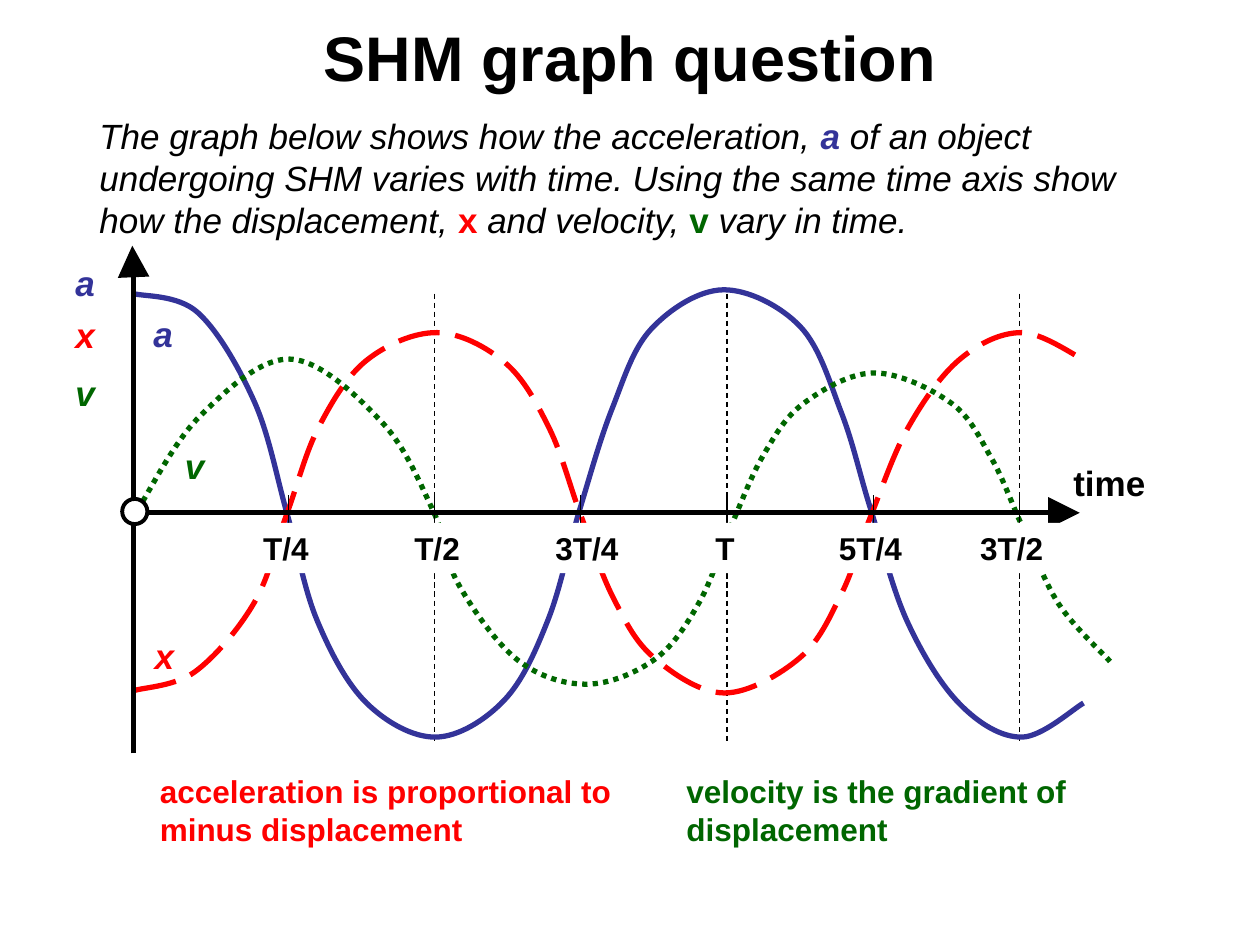
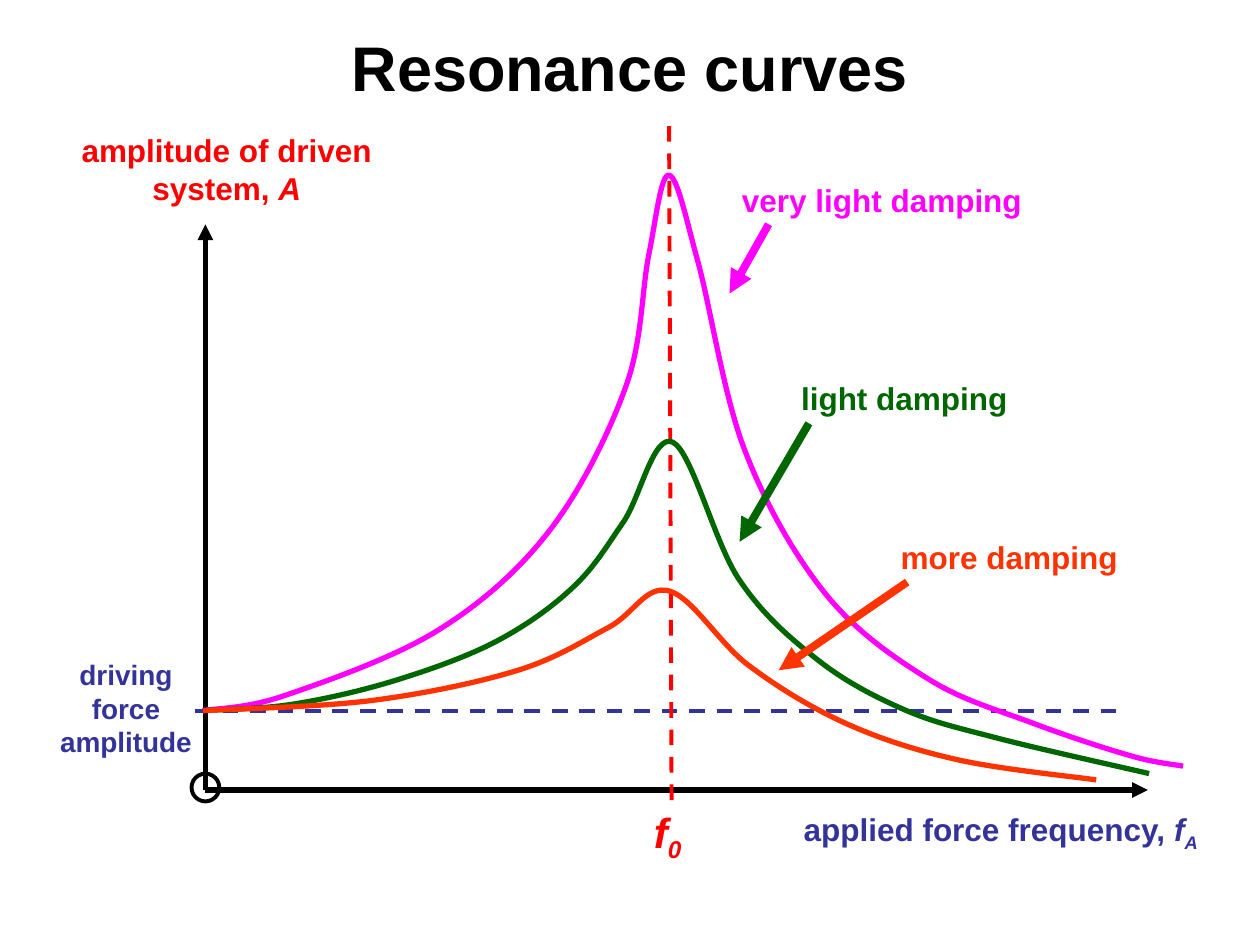
from pptx import Presentation
from pptx.dml.color import RGBColor
from pptx.enum.dml import MSO_LINE
from pptx.enum.shapes import MSO_CONNECTOR, MSO_SHAPE
from pptx.enum.text import MSO_ANCHOR, PP_ALIGN
from pptx.oxml.ns import qn
from pptx.util import Inches, Pt
from lxml import etree

BLACK = RGBColor(0x00, 0x00, 0x00)
WHITE = RGBColor(0xFF, 0xFF, 0xFF)
BLUE = RGBColor(0x33, 0x33, 0x99)
RED = RGBColor(0xFF, 0x00, 0x00)
GREEN = RGBColor(0x00, 0x66, 0x00)
PINK = RGBColor(0xFF, 0x00, 0xFF)
ORANGE = RGBColor(0xFF, 0x33, 0x00)

DASH = MSO_LINE.DASH
LONG = MSO_LINE.LONG_DASH
DOT = MSO_LINE.ROUND_DOT
STRAIGHT = MSO_CONNECTOR.STRAIGHT
OVAL = MSO_SHAPE.OVAL
LEFT = PP_ALIGN.LEFT
CENTER = PP_ALIGN.CENTER
MIDDLE = MSO_ANCHOR.MIDDLE

FONT = "Arial"
TICKS = [2.29 + 1.16 * i for i in range(6)]
AXIS = 4.07

ACCEL = [(1.06, 2.33), (1.57, 2.48), (2.02, 3.19), (2.28, 4.08), (2.52, 4.93),
         (2.91, 5.58), (3.46, 5.85), (4, 5.56), (4.35, 4.92), (4.6, 4.05),
         (4.86, 3.24), (5.17, 2.61), (5.74, 2.3), (6.35, 2.59), (6.68, 3.28),
         (6.91, 4.04), (7.2, 4.93), (7.62, 5.59), (8.11, 5.85), (8.6, 5.58)]
SHIFT = [(1.07, 5.48), (1.55, 5.33), (2.02, 4.78), (2.28, 4.07), (2.53, 3.39),
         (2.91, 2.86), (3.47, 2.64), (4.01, 2.88), (4.36, 3.4), (4.61, 4.09),
         (4.87, 4.75), (5.19, 5.22), (5.75, 5.5), (6.35, 5.22), (6.68, 4.71),
         (6.91, 4.1), (7.21, 3.39), (7.62, 2.85), (8.11, 2.64), (8.61, 2.86)]
SPEED = [(1.09, 4.05), (1.58, 3.31), (2.3, 2.85), (3.03, 3.35), (3.44, 4.06),
         (3.64, 4.64), (4.11, 5.24), (4.66, 5.43), (5.2, 5.23), (5.55, 4.78),
         (5.8, 4.18), (6.06, 3.61), (6.38, 3.2), (6.94, 2.96), (7.55, 3.2),
         (7.87, 3.64), (8.11, 4.17), (8.4, 4.79), (8.81, 5.25)]

FAINT = [(1.61, 5.64), (2.26, 5.52), (3.48, 5), (4.37, 4.2), (4.97, 3.06),
         (5.15, 2.02), (5.31, 1.39), (5.54, 2.08), (5.91, 3.57), (6.55, 4.71),
         (7.37, 5.39), (8.2, 5.74), (8.98, 6), (9.39, 6.08)]
LIGHT = [(1.61, 5.64), (2.32, 5.59), (3.14, 5.4), (3.94, 5.09), (4.55, 4.66),
         (4.95, 4.14), (5.34, 3.51), (5.86, 4.59), (6.48, 5.23), (7.17, 5.63),
         (7.92, 5.86), (9.12, 6.14)]
HEAVY = [(1.61, 5.64), (2.95, 5.56), (4.11, 5.32), (4.83, 4.98), (5.31, 4.69),
         (5.94, 5.28), (6.71, 5.74), (7.6, 6.03), (8.7, 6.19)]


def smooth(shape):
    """Turn the straight parts of a freeform into one Catmull-Rom curve."""
    track = shape._element.find(".//" + qn("a:path"))
    knots = [(int(p.get("x")), int(p.get("y"))) for p in track.iter(qn("a:pt"))]
    ends = [knots[0], *knots, knots[-1]]
    parts = track.findall(qn("a:lnTo"))
    for part, a, b, c, d in zip(parts, ends, ends[1:], ends[2:], ends[3:]):
        first = [q + (r - p) / 6 for p, q, r in zip(a, b, c)]
        second = [r - (s - q) / 6 for q, r, s in zip(b, c, d)]
        bend = etree.Element(qn("a:cubicBezTo"))
        for x, y in (first, second, c):
            etree.SubElement(bend, qn("a:pt"), x=str(round(x)), y=str(round(y)))
        track.replace(part, bend)


def stroke(shape, color, width, dash=None):
    """Set the outline of a shape or connector."""
    shape.line.color.rgb = color
    shape.line.width = Pt(width)
    if dash:
        shape.line.dash_style = dash


def curve(slide, knots, color, dash=None):
    """Draw a smooth open curve."""
    points = [(Inches(x), Inches(y)) for x, y in knots]
    pen = slide.shapes.build_freeform(*points[0])
    pen.add_line_segments(points[1:], close=False)
    shape = pen.convert_to_shape()
    smooth(shape)
    shape.fill.background()
    shape.shadow.inherit = False
    stroke(shape, color, 3, dash)


def line(slide, start, end, color, width, dash=None, arrow=False):
    """Draw a straight line, with an arrowhead at its end if asked."""
    ends = [Inches(v) for v in (*start, *end)]
    link = slide.shapes.add_connector(STRAIGHT, *ends)
    stroke(link, color, width, dash)
    if arrow:
        head = etree.SubElement(link.line._get_or_add_ln(), qn("a:tailEnd"))
        head.set("type", "triangle")
    etree.SubElement(link._element.spPr, qn("a:effectLst"))


def ring(slide, left, top, size, fill=None):
    """Mark the origin with a circle."""
    shape = slide.shapes.add_shape(
        OVAL, *[Inches(v) for v in (left, top, size, size)])
    shape.shadow.inherit = False
    if fill is None:
        shape.fill.background()
    else:
        shape.fill.solid()
        shape.fill.fore_color.rgb = fill
    stroke(shape, BLACK, 2.25)


def text(slide, box, runs, size, color, bold=True, italic=False,
         align=LEFT, tabs=()):
    """Add a text box; each run is a string or a string with its changes."""
    shape = slide.shapes.add_textbox(*[Inches(v) for v in box])
    frame = shape.text_frame
    frame.word_wrap = True
    para = frame.paragraphs[0]
    para.alignment = align
    if tabs:
        stops = etree.SubElement(para._p.get_or_add_pPr(), qn("a:tabLst"))
        for tab in tabs:
            etree.SubElement(stops, qn("a:tab"), pos=str(Inches(tab)), algn="l")
    font = para.font
    font.name, font.size = FONT, Pt(size)
    font.bold, font.italic = bold, italic
    font.color.rgb = color
    for item in [runs] if isinstance(runs, str) else runs:
        words, change = (item, {}) if isinstance(item, str) else item
        run = para.add_run()
        run.text = words
        if "color" in change:
            run.font.color.rgb = change["color"]
        if "bold" in change:
            run.font.bold = change["bold"]
        if "italic" in change:
            run.font.italic = change["italic"]
        if "sub" in change:
            run._r.get_or_add_rPr().set("baseline", "-25000")
    return shape


def title(slide, words, top, height):
    """Add the slide title."""
    shape = text(slide, (0.5, top, 9, height), words, 36, BLACK, align=CENTER)
    shape.text_frame.vertical_anchor = MIDDLE


def symbol(slide, letter, left, top, color):
    """Add a one-letter name of a quantity."""
    text(slide, (left, top, 0.36, 0.44), letter, 20, color, italic=True)


def callout(slide, words, left, top, start, end, color):
    """Name a curve and point at it."""
    text(slide, (left, top, 2.44, 0.4), words, 18, color)
    line(slide, start, end, color, 4.5, arrow=True)


def axes(slide):
    """Draw the time axes with ticks and labels."""
    line(slide, (1.05, AXIS), (8.52, AXIS), BLACK, 3, arrow=True)
    line(slide, (8.33, AXIS), (8.57, AXIS), BLACK, 6, arrow=True)
    line(slide, (1.06, 5.98), (1.06, 2.05), BLACK, 3, arrow=True)
    line(slide, (1.06, 2.19), (1.05, 1.95), BLACK, 6, arrow=True)
    ring(slide, 0.97, 3.96, 0.2, WHITE)
    for x in TICKS:
        line(slide, (x, 3.93), (x, 4.21), BLACK, 0.75)
    strip = text(slide, (1.99, 4.15, 6.77, 0.4),
                 "T/4\tT/2\t3T/4\tT\t5T/4\t3T/2", 18, BLACK,
                 tabs=(1.2, 2.32, 3.59, 4.57, 5.69))
    strip.fill.solid()
    strip.fill.fore_color.rgb = WHITE


def motion(slide):
    """Build the slide on simple harmonic motion."""
    for x in TICKS[1::2]:
        line(slide, (x, 2.33), (x, 5.88), BLACK, 0.75, DASH)
    curve(slide, ACCEL, BLUE)
    curve(slide, SHIFT, RED, LONG)
    curve(slide, SPEED, GREEN, DOT)
    title(slide, "SHM graph question", 0.19, 0.51)
    axes(slide)
    text(slide, (8.42, 3.61, 1.09, 0.44), "time", 20, BLACK)
    text(slide, (0.69, 0.86, 8.82, 1.1), [
        "The graph below shows how the acceleration, ",
        ("a ", {"color": BLUE, "bold": True}),
        "of an object undergoing SHM varies with time. Using the same "
        "time axis show how the displacement, ",
        ("x", {"color": RED, "bold": True, "italic": False}),
        " and velocity, ",
        ("v", {"color": GREEN, "bold": True, "italic": False}),
        " vary in time.",
    ], 20, BLACK, bold=False, italic=True)
    for letter, color, top, spot in (
            ("a", BLUE, 2.03, (1.12, 2.43)),
            ("x", RED, 2.44, (1.13, 4.99)),
            ("v", GREEN, 2.9, (1.37, 3.48))):
        symbol(slide, letter, 0.5, top, color)
        symbol(slide, letter, *spot, color)
    text(slide, (1.17, 6.08, 4, 0.7),
         "acceleration is proportional to minus displacement", 18, RED)
    text(slide, (5.35, 6.08, 3.33, 0.7),
         "velocity is the gradient of displacement", 18, GREEN)


def resonance(slide):
    """Build the slide on resonance curves."""
    title(slide, "Resonance curves", 0.3, 0.46)
    line(slide, (1.63, 6.27), (1.63, 1.78), BLACK, 3, arrow=True)
    line(slide, (1.63, 6.27), (9.11, 6.27), BLACK, 3, arrow=True)
    ring(slide, 1.52, 6.14, 0.22)
    text(slide, (6.28, 6.38, 3.72, 0.44), [
        "applied force frequency, ", ("f", {"italic": True}),
        ("A", {"italic": True, "sub": True})], 18, BLUE)
    text(slide, (0.33, 0.99, 2.94, 0.7), [
        "amplitude of driven system, ", ("A", {"italic": True})],
        18, RED, align=CENTER)
    line(slide, (1.55, 5.64), (8.95, 5.64), BLUE, 2.25, DASH)
    text(slide, (0.33, 5.17, 1.34, 0.9), "driving force amplitude",
         16, BLUE, align=CENTER)
    line(slide, (5.33, 6.35), (5.31, 0.91), RED, 2.25, DASH)
    text(slide, (5.09, 6.35, 0.55, 0.56), ["f", ("0", {"sub": True})],
         24, RED, italic=True)
    for knots, color in ((FAINT, PINK), (LIGHT, GREEN), (HEAVY, ORANGE)):
        curve(slide, knots, color)
    callout(slide, "more damping", 7.05, 4.22, (7.2, 4.62), (6.18, 5.32), ORANGE)
    callout(slide, "light damping", 6.26, 2.96, (6.42, 3.36), (5.87, 4.3), GREEN)
    callout(slide, "very light damping", 5.79, 1.39, (6.1, 1.78), (5.79, 2.33), PINK)


def main():
    """Build and save the presentation."""
    deck = Presentation()
    deck.slide_width, deck.slide_height = Inches(10), Inches(7.5)
    for build in (motion, resonance):
        build(deck.slides.add_slide(deck.slide_layouts[6]))
    deck.save("out.pptx")


if __name__ == "__main__":
    main()
